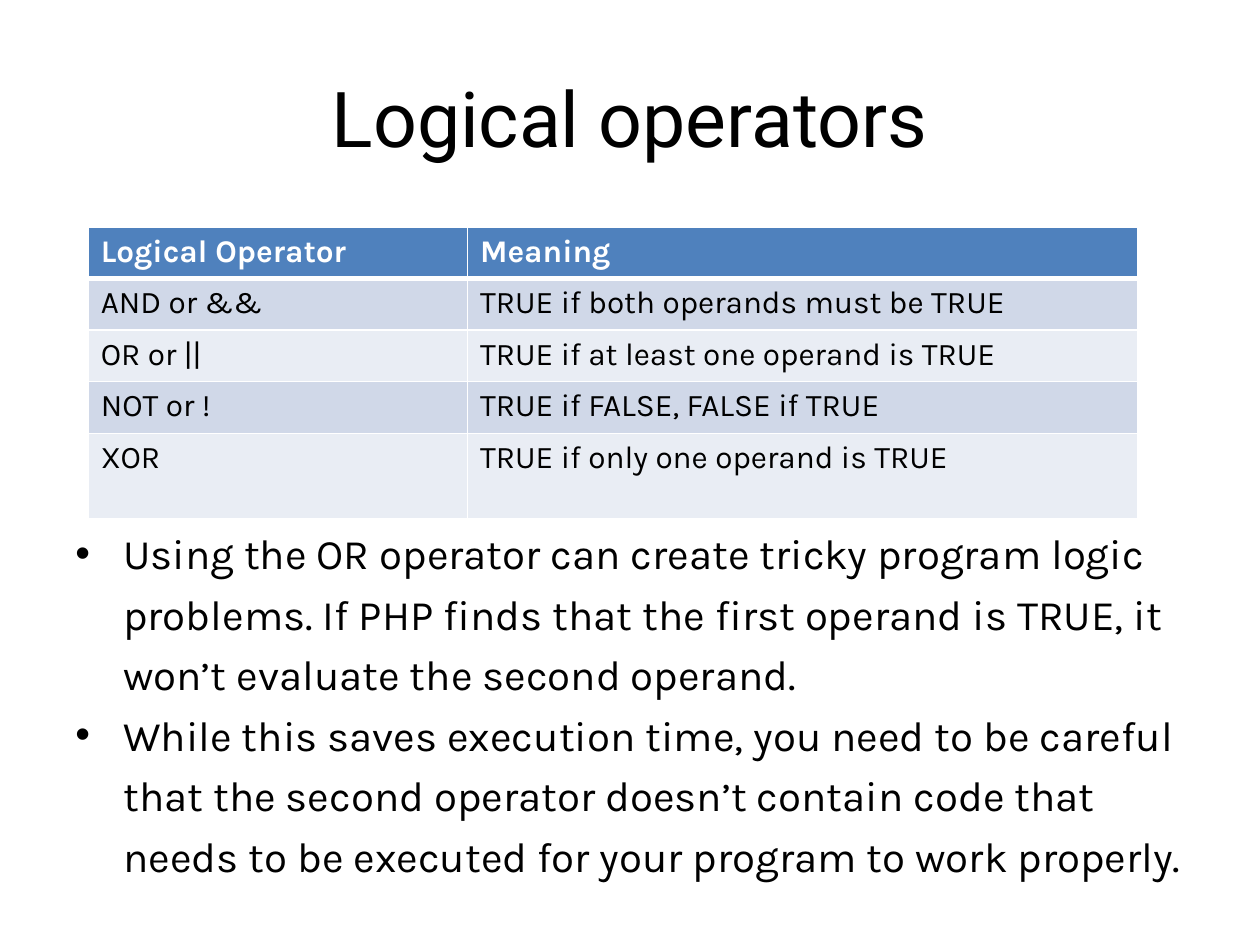
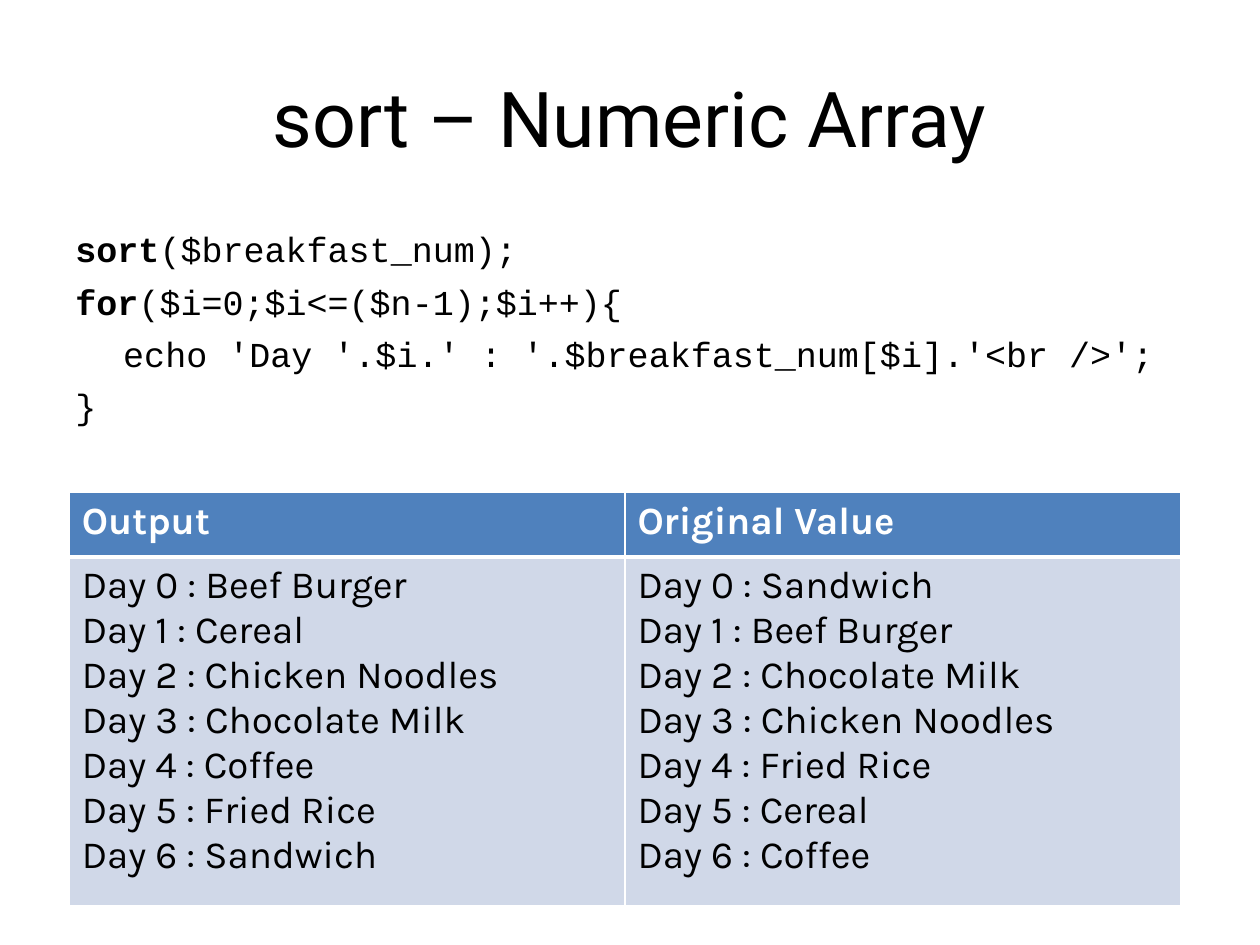
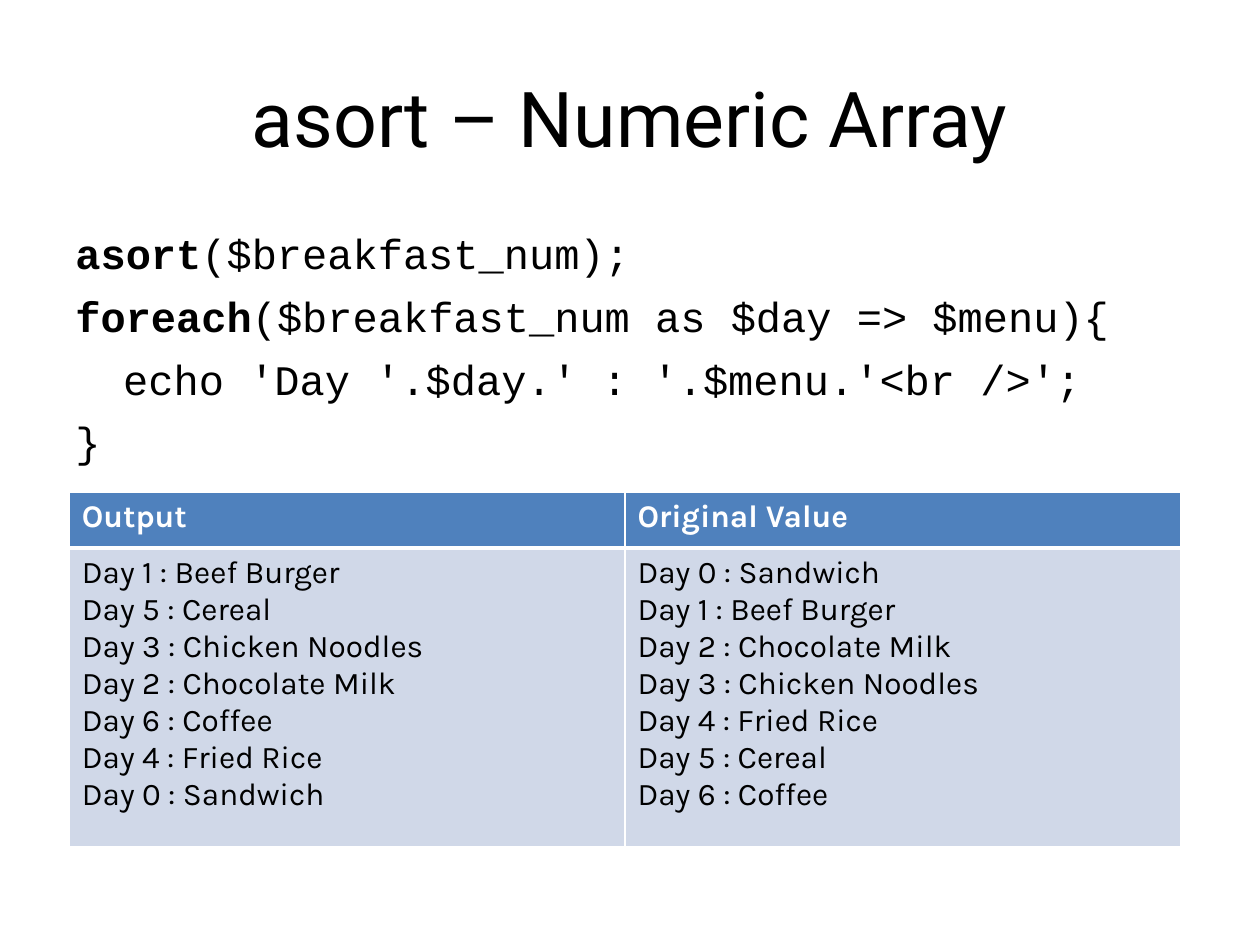
import pptx
import pptx.util
import pptx.dml.color
import pptx.enum.text
import pptx.oxml.ns
from lxml import etree

UNIT = pptx.util.Inches(0.1)
COLS, ROWS = 100, 75
EDGE = 5
INDENT = 3.8

BLACK = pptx.dml.color.RGBColor(0x00, 0x00, 0x00)
WHITE = pptx.dml.color.RGBColor(0xFF, 0xFF, 0xFF)
BLUE = pptx.dml.color.RGBColor(0x4F, 0x81, 0xBD)
BANDS = (pptx.dml.color.RGBColor(0xE9, 0xED, 0xF4),
         pptx.dml.color.RGBColor(0xD0, 0xD8, 0xE8))

HEAD, BODY, CODE = "Roboto", "Karla", "Courier New"

MEALS = ["Sandwich", "Beef Burger", "Chocolate Milk", "Chicken Noodles",
         "Fried Rice", "Cereal", "Coffee"]

LOGIC = [
    ("Logical Operator", "Meaning"),
    ("AND or &&", "TRUE if both operands must be TRUE"),
    ("OR or ||", "TRUE if at least one operand is TRUE"),
    ("NOT or !", "TRUE if FALSE, FALSE if TRUE"),
    ("XOR", "TRUE if only one operand is TRUE"),
]

NOTES = [
    "Using the OR operator can create tricky program logic problems. "
    "If PHP finds that the first operand is TRUE, it won’t evaluate "
    "the second operand.",
    "While this saves execution time, you need to be careful that the "
    "second operator doesn’t contain code that needs to be executed for "
    "your program to work properly.",
]

SORT = [
    ("sort", "($breakfast_num);"),
    ("for", "($i=0;$i<=($n-1);$i++){"),
    ("", "\techo 'Day '.$i.' : '.$breakfast_num[$i].'<br />';"),
    ("", "}"),
]

ASORT = [
    ("asort", "($breakfast_num);"),
    ("foreach", "($breakfast_num as $day => $menu){"),
    ("", "\techo 'Day '.$day.' : '.$menu.'<br />';"),
    ("", "}"),
]


def span(count):
    """Turn a count of grid units into a length."""
    return pptx.util.Emu(round(count * UNIT))


def add_run(par, text, font, size, color=BLACK, bold=False):
    """Add one styled run to a paragraph."""
    run = par.add_run()
    run.text = text
    run.font.name = font
    run.font.size = pptx.util.Pt(size)
    run.font.color.rgb = color
    run.font.bold = bold


def add_page(deck, title):
    """Add a slide with its centred title."""
    page = deck.slides.add_slide(deck.slide_layouts[5])
    shape = page.shapes.title
    shape.left, shape.top = span(EDGE), span(3)
    shape.width, shape.height = span(COLS - 2 * EDGE), span(12.5)
    frame = shape.text_frame
    frame.vertical_anchor = pptx.enum.text.MSO_ANCHOR.MIDDLE
    par = frame.paragraphs[0]
    par.alignment = pptx.enum.text.PP_ALIGN.CENTER
    add_run(par, title, HEAD, 44)
    return page


def add_frame(page, top, height):
    """Add a wrapping text box between the side margins."""
    box = page.shapes.add_textbox(span(EDGE), span(top),
                                  span(COLS - 2 * EDGE), span(height))
    box.text_frame.word_wrap = True
    return box.text_frame


def add_par(frame, index, bullet=None):
    """Give a paragraph with a hanging indent and maybe a bullet."""
    par = frame.add_paragraph() if index else frame.paragraphs[0]
    props = par._p.get_or_add_pPr()
    props.set("marL", str(span(INDENT)))
    props.set("indent", str(-span(INDENT)))
    if bullet:
        font = etree.SubElement(props, pptx.oxml.ns.qn("a:buFont"))
        font.set("typeface", "Arial")
        mark = etree.SubElement(props, pptx.oxml.ns.qn("a:buChar"))
        mark.set("char", bullet)
    return par


def add_notes(page, top, height, notes):
    """Add a bulleted list."""
    frame = add_frame(page, top, height)
    for index, note in enumerate(notes):
        par = add_par(frame, index, "•")
        par.line_spacing = 1.2
        add_run(par, note, BODY, 24)


def add_code(page, lines, size):
    """Add code lines, each a bold keyword and a plain rest."""
    frame = add_frame(page, 17.6, 20)
    for index, (key, rest) in enumerate(lines):
        par = add_par(frame, index)
        if index:
            par.space_before = pptx.util.Pt(round(0.29 * size, 1))
        if key:
            add_run(par, key, CODE, size, bold=True)
        add_run(par, rest, CODE, size)


def add_rules(cell, base):
    """Draw white cell borders, with the given weight at the base."""
    props = cell._tc.get_or_add_tcPr()
    for side, weight in zip("LRTB", (1, 1, 1, base)):
        line = etree.SubElement(props, pptx.oxml.ns.qn("a:ln" + side))
        line.set("w", str(pptx.util.Pt(weight)))
        fill = etree.SubElement(line, pptx.oxml.ns.qn("a:solidFill"))
        color = etree.SubElement(fill, pptx.oxml.ns.qn("a:srgbClr"))
        color.set("val", str(WHITE))


def fill_cell(cell, text, size, row):
    """Fill one cell with text, colour and borders."""
    head = row == 0
    add_rules(cell, 3 if head else 1)
    cell.fill.solid()
    cell.fill.fore_color.rgb = BLUE if head else BANDS[row % 2]
    par = cell.text_frame.paragraphs[0]
    for index, line in enumerate(text.split("\n")):
        if index:
            par.add_line_break()
        add_run(par, line, BODY, size, WHITE if head else BLACK, head)


def add_grid(page, left, top, wide, high, data, size):
    """Add a table from column widths, row heights and cell texts."""
    frame = page.shapes.add_table(len(high), len(wide), span(left), span(top),
                                  span(sum(wide)), span(sum(high)))
    table = frame.table
    table.first_row = table.horz_banding = False
    for col, width in zip(table.columns, wide):
        col.width = span(width)
    for index, (height, texts) in enumerate(zip(high, data)):
        table.rows[index].height = span(height)
        for cell, text in zip(table.rows[index].cells, texts):
            fill_cell(cell, text, size, index)


def list_days(pairs):
    """Write numbered meals as lines."""
    return "\n".join(f"Day {day} : {meal}" for day, meal in pairs)


def add_sort(deck, title, code, code_size, pairs, high, size):
    """Add a slide with code above its output and the first values."""
    page = add_page(deck, title)
    add_code(page, code, code_size)
    data = [("Output", "Original Value"),
            (list_days(pairs), list_days(enumerate(MEALS)))]
    add_grid(page, 5.5, 39.1, (44.1, 44.1), high, data, size)


def main():
    """Build the deck."""
    deck = pptx.Presentation()
    deck.slide_width, deck.slide_height = span(COLS), span(ROWS)
    page = add_page(deck, "Logical operators")
    add_grid(page, 7, 18, (30.1, 53.2), [4.1] * 4 + [6.8], LOGIC, 18)
    add_notes(page, 40.6, 30.1, NOTES)
    add_sort(deck, "sort – Numeric Array", SORT, 20,
             enumerate(sorted(MEALS)), (5.1, 27.7), 22)
    add_sort(deck, "asort – Numeric Array", ASORT, 24,
             sorted(enumerate(MEALS), key=lambda pair: pair[1]),
             (4.4, 23.7), 18)
    deck.save("out.pptx")


if __name__ == "__main__":
    main()
